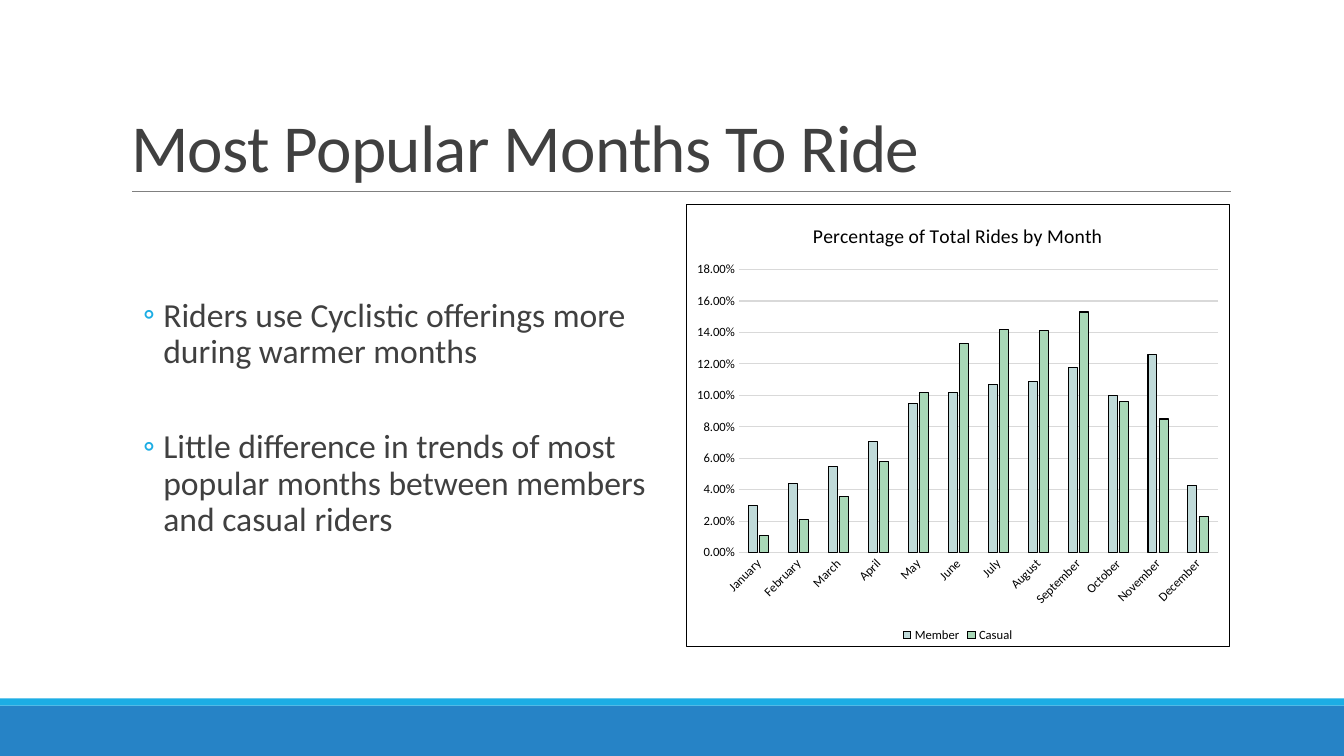
"""Build the slide on the most popular months to ride."""
from lxml import etree
from pptx import Presentation
from pptx.chart.data import CategoryChartData
from pptx.dml.color import RGBColor
from pptx.enum.chart import XL_CHART_TYPE, XL_LEGEND_POSITION, XL_TICK_MARK
from pptx.enum.shapes import MSO_CONNECTOR, MSO_SHAPE
from pptx.enum.text import MSO_ANCHOR, MSO_AUTO_SIZE, PP_ALIGN
from pptx.oxml import parse_xml
from pptx.oxml.ns import nsdecls, qn
from pptx.util import Inches, Pt

COLUMN = XL_CHART_TYPE.COLUMN_CLUSTERED
BOTTOM = XL_LEGEND_POSITION.BOTTOM
NO_TICK = XL_TICK_MARK.NONE
STRAIGHT = MSO_CONNECTOR.STRAIGHT
RECT = MSO_SHAPE.RECTANGLE

WIDE, HIGH = 13.33, 7.5
LEFT, GAP, COL = 1.2, 0.2, 5.4
TOP, TALL = 2.02, 4.4
RIGHT = LEFT + COL + GAP
FONT, INK, BLACK, GREY = "Calibri", "404040", "000000", "D9D9D9"


def paint(part, shade):
    """Give a fill or a line one solid colour."""
    part.fill.solid()
    part.fill.fore_color.rgb = RGBColor.from_string(shade)


def style(font, size, shade):
    """Set face, size and colour of a font."""
    font.name, font.size, font.bold = FONT, Pt(size), False
    font.color.rgb = RGBColor.from_string(shade)


deck = Presentation()
deck.slide_width, deck.slide_height = Inches(WIDE), Inches(HIGH)
slide = deck.slides.add_slide(deck.slide_layouts[5])
shapes = slide.shapes

for top, tall, shade in [(7, 0.5, "2683C6"), (6.93, 0.07, "1CADE4")]:
    band = shapes.add_shape(RECT, 0, Inches(top), Inches(WIDE), Inches(tall))
    band.shadow.inherit = False
    paint(band, shade)
    band.line.fill.background()

rule = shapes.add_connector(STRAIGHT, Inches(1.31), Inches(1.9), Inches(12.21), Inches(1.9))
paint(rule.line, "808080")
rule.line.width = Pt(0.5)
etree.SubElement(rule.element.spPr, qn("a:effectLst"))

title = shapes.title
title.left, title.top = Inches(LEFT), Inches(0.31)
title.width, title.height = Inches(2 * COL + GAP), Inches(1.59)
frame = title.text_frame
frame.word_wrap = True
frame.auto_size = MSO_AUTO_SIZE.NONE
frame.vertical_anchor = MSO_ANCHOR.BOTTOM
para = frame.paragraphs[0]
para.alignment, para.line_spacing = PP_ALIGN.LEFT, 0.85
run = para.add_run()
run.text = "Most Popular Months To Ride"
style(run.font, 48, INK)
run.font._element.set("spc", "-50")

points = [
    "Riders use Cyclistic offerings more during warmer months",
    "Little difference in trends of most popular months between members and casual riders",
]
body = shapes.add_textbox(Inches(LEFT), Inches(TOP), Inches(COL), Inches(TALL))
frame = body.text_frame
frame.word_wrap = True
frame.margin_left = frame.margin_right = 0
frame.margin_top = Inches(0.94)
for i, point in enumerate(points):
    para = frame.paragraphs[0] if i == 0 else frame.add_paragraph()
    para.line_spacing = 0.9
    para.space_before = Pt(42 * i)
    props = para._p.get_or_add_pPr()
    props.set("marL", str(Inches(0.42)))
    props.set("indent", str(-Inches(0.2)))
    props.append(parse_xml(f'<a:buClr {nsdecls("a")}><a:srgbClr val="1CADE4"/></a:buClr>'))
    props.append(parse_xml(f'<a:buFont {nsdecls("a")} typeface="{FONT}"/>'))
    props.append(parse_xml(f'<a:buChar {nsdecls("a")} char="◦"/>'))
    run = para.add_run()
    run.text = point
    style(run.font, 24, INK)

data = CategoryChartData(number_format="0.00%")
data.categories = ["January", "February", "March", "April", "May", "June", "July",
                   "August", "September", "October", "November", "December"]
data.add_series("Member", [0.03, 0.044, 0.055, 0.071, 0.095, 0.102,
                           0.107, 0.109, 0.118, 0.1, 0.126, 0.043])
data.add_series("Casual", [0.011, 0.021, 0.036, 0.058, 0.102, 0.133,
                           0.142, 0.141, 0.153, 0.096, 0.085, 0.023])
chart = shapes.add_chart(COLUMN, Inches(RIGHT), Inches(TOP), Inches(COL), Inches(TALL), data).chart
style(chart.font, 10, BLACK)
chart.has_title = True
run = chart.chart_title.text_frame.paragraphs[0].add_run()
run.text = "Percentage of Total Rides by Month"
style(run.font, 14, BLACK)
chart.has_legend = True
chart.legend.position = BOTTOM
chart.legend.include_in_layout = False
style(chart.legend.font, 9, BLACK)

plot = chart.plots[0]
plot.gap_width, plot.overlap, plot.vary_by_categories = 219, -27, False
for bars, shade in zip(plot.series, ["C0DAD9", "A9D8B7"]):
    paint(bars.format, shade)
    paint(bars.format.line, BLACK)
    bars.format.line.width = Pt(0.75)

months, share = chart.category_axis, chart.value_axis
for axis in (months, share):
    axis.major_tick_mark = axis.minor_tick_mark = NO_TICK
    style(axis.tick_labels.font, 9, BLACK)
months._element.find(qn("c:txPr")).find(qn("a:bodyPr")).set("rot", "-2700000")
share.minimum_scale, share.maximum_scale, share.major_unit = 0, 0.18, 0.02
share.tick_labels.number_format = "0.00%"
share.tick_labels.number_format_is_linked = False
share.format.line.fill.background()
for line in (months.format.line, share.major_gridlines.format.line):
    paint(line, GREY)
    line.width = Pt(0.75)

area = chart._chartSpace.chart.plotArea
for old in area.findall(qn("c:layout")):
    area.remove(old)
spots = "".join(f'<c:{tag} val="{val}"/>' for tag, val in [
    ("layoutTarget", "inner"), ("xMode", "edge"), ("yMode", "edge"),
    ("x", 0.097), ("y", 0.148), ("w", 0.882), ("h", 0.64)])
area.insert(0, parse_xml(
    f'<c:layout {nsdecls("c")}><c:manualLayout>{spots}</c:manualLayout></c:layout>'))
chart._chartSpace.chart.addnext(parse_xml(
    f'<c:spPr {nsdecls("c", "a")}><a:solidFill><a:srgbClr val="FFFFFF"/></a:solidFill>'
    f'<a:ln w="{Pt(0.75)}"><a:solidFill><a:srgbClr val="{BLACK}"/></a:solidFill></a:ln></c:spPr>'))

deck.save("out.pptx")
